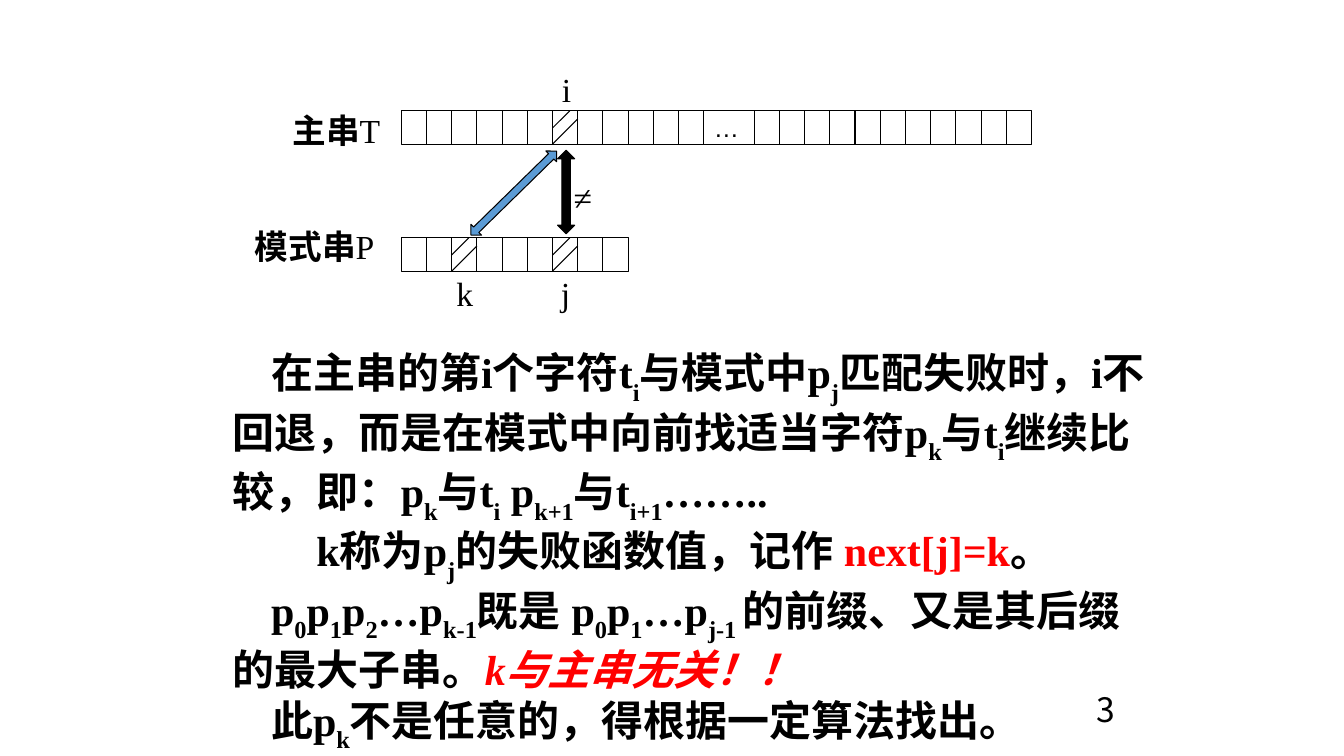
"""Build the slide on the failure function of string matching."""
from itertools import groupby

from lxml.etree import SubElement
from pptx import Presentation
from pptx.dml.color import RGBColor
from pptx.enum.shapes import MSO_CONNECTOR, MSO_SHAPE
from pptx.enum.text import MSO_ANCHOR, MSO_AUTO_SIZE, PP_ALIGN
from pptx.oxml.ns import qn
from pptx.util import Inches, Pt

COLORS = {"ink": "000000", "paper": "FFFFFF", "accent": "FF0000", "retry": "5B9BD5"}
LATIN, HAN = "Times New Roman", "Noto Sans CJK SC"
LEFT, CELL, HEIGHT = 3.98, 0.25, 0.33
MAIN_TOP, PATTERN_TOP = 1.1, 2.36

EXPLANATION = [
    (0.38, [("在主串的第i个字符t{i}与模式中p{j}匹配失败时，"
             "i不回退，而是在模式中向前找适当字符p{k}与t{i}继续比较，即："
             "p{k}与t{i} p{k+1}与t{i+1}……..", {})]),
    (0.83, [("k称为p{j}的失败函数值，记作 ", {}),
            ("next[j]=k", {"color": "accent"}),
            ("。", {})]),
    (0.38, [("p{0}p{1}p{2}…p{k-1}既是 p{0}p{1}…p{j-1 }"
             "的前缀、又是其后缀的最大子串。", {}),
            ("k与主串无关！！", {"color": "accent", "italic": True})]),
    (0.38, [("此p{k}不是任意的，得根据一定算法找出。", {})]),
]


def rgb(name):
    """Return the named colour."""
    return RGBColor.from_string(COLORS[name])


def is_han(character):
    """Tell whether a character is Chinese text or punctuation."""
    return character >= "\u3000"


def write(paragraph, text, size=24, font=None, color="ink", bold=False, italic=False):
    """Add text with braced subscripts, choosing the font by script."""
    for index, part in enumerate(text.replace("}", "{").split("{")):
        for han, characters in groupby(part, is_han):
            run = paragraph.add_run()
            run.text = "".join(characters)
            run.font.size = Pt(size)
            run.font.bold = bold
            run.font.italic = italic
            run.font.color.rgb = rgb(color)
            run.font.name = font or (HAN if han else LATIN)
            properties = run._r.get_or_add_rPr()
            SubElement(properties, qn("a:ea")).set("typeface", run.font.name)
            if index % 2:
                properties.set("baseline", "-30000")


def add_box(shapes, left, top, width, height, grow=True, inset=True):
    """Add an empty wrapping text box and return its frame."""
    box = shapes.add_textbox(Inches(left), Inches(top), Inches(width), Inches(height))
    frame = box.text_frame
    frame.word_wrap = True
    frame.auto_size = MSO_AUTO_SIZE.SHAPE_TO_FIT_TEXT if grow else MSO_AUTO_SIZE.NONE
    if not inset:
        frame.margin_left = frame.margin_right = 0
        frame.margin_top = frame.margin_bottom = 0
    return frame


def add_index(shapes, symbol, left, top, width=0.2):
    """Add a centred symbol without insets."""
    paragraph = add_box(shapes, left, top, width, 0.4, inset=False).paragraphs[0]
    paragraph.alignment = PP_ALIGN.CENTER
    write(paragraph, symbol)


def add_string_name(shapes, name, letter, left, top, width):
    """Add the bold name of a string with its letter."""
    paragraph = add_box(shapes, left, top, width, 0.5).paragraphs[0]
    paragraph.alignment = PP_ALIGN.CENTER
    write(paragraph, name, bold=True)
    write(paragraph, letter)


def add_preset(shapes, kind, left, top, width, height, fill):
    """Add a filled preset shape with a thin outline."""
    shape = shapes.add_shape(kind, Inches(left), Inches(top), Inches(width), Inches(height))
    shape.shadow.inherit = False
    shape.fill.solid()
    shape.fill.fore_color.rgb = rgb(fill)
    shape.line.color.rgb = rgb("ink")
    shape.line.width = Pt(0.75)
    return shape


def add_arrow(shapes, left, top, width, height, fill, head, rotation=0):
    """Add a double arrow with a half-width shaft and the given head length."""
    arrow = add_preset(shapes, MSO_SHAPE.UP_DOWN_ARROW, left, top, width, height, fill)
    arrow.adjustments[0] = head
    arrow.adjustments[1] = 0.5
    arrow.rotation = rotation


def add_line(shapes, x1, y1, x2, y2):
    """Add a thin straight line."""
    line = shapes.add_connector(
        MSO_CONNECTOR.STRAIGHT, Inches(x1), Inches(y1), Inches(x2), Inches(y2))
    line.line.color.rgb = rgb("ink")
    line.line.width = Pt(0.75)
    SubElement(line._element.spPr, qn("a:effectLst"))


def add_string(shapes, top, cells, hatched, undivided=()):
    """Add a row of character cells, hatching some, and return its outline."""
    outline = add_preset(
        shapes, MSO_SHAPE.RECTANGLE, LEFT, top, cells * CELL, HEIGHT, "paper")
    for position in range(1, cells):
        if position not in undivided:
            x = LEFT + position * CELL
            add_line(shapes, x, top, x, top + HEIGHT)
    for position in hatched:
        x = LEFT + position * CELL
        add_line(shapes, x + 0.17, top, x, top + 0.17)
        add_line(shapes, x + CELL, top + 0.08, x, top + HEIGHT)
    return outline


def add_ellipsis(outline):
    """Write the ellipsis of the main string slightly right of its centre."""
    frame = outline.text_frame
    frame.word_wrap = False
    frame.vertical_anchor = MSO_ANCHOR.MIDDLE
    frame.margin_left = Inches(0.3)
    frame.paragraphs[0].alignment = PP_ALIGN.CENTER
    write(frame.paragraphs[0], "…", size=18, font="Arial")


def add_explanation(shapes):
    """Add the explanatory paragraphs with first-line indents."""
    frame = add_box(shapes, 2.21, 3.39, 9.35, 3.63)
    for number, (indent, pieces) in enumerate(EXPLANATION):
        paragraph = frame.add_paragraph() if number else frame.paragraphs[0]
        paragraph._p.get_or_add_pPr().set("indent", str(Inches(indent)))
        for text, style in pieces:
            write(paragraph, text, size=30, bold=True, **style)


def add_page_number(shapes, number):
    """Add the page number at the lower right."""
    frame = add_box(shapes, 8.83, 6.78, 2.33, 0.5, grow=False)
    frame.vertical_anchor = MSO_ANCHOR.BOTTOM
    frame.paragraphs[0].alignment = PP_ALIGN.RIGHT
    write(frame.paragraphs[0], number, font="Noto Sans CJK JP")


def main():
    """Build and save the slide."""
    deck = Presentation()
    deck.slide_width, deck.slide_height = Inches(13.33), Inches(7.5)
    shapes = deck.slides.add_slide(deck.slide_layouts[6]).shapes

    add_page_number(shapes, "3")
    add_explanation(shapes)

    strings = shapes.add_group_shape().shapes
    add_ellipsis(add_string(strings, MAIN_TOP, 25, hatched=[6], undivided=[13]))
    add_string_name(strings, "主串", "T", 2.79, 1.04, 1.09)
    add_index(strings, "i", 5.52, 0.68)
    add_string(strings, PATTERN_TOP, 9, hatched=[2, 6])
    add_string_name(strings, "模式串", "P", 2.34, 2.19, 1.56)
    for symbol, left in [("j", 5.51), ("k", 4.51)]:
        add_index(strings, symbol, left, 2.71)

    mismatch = shapes.add_group_shape().shapes
    add_arrow(mismatch, 5.53, 1.49, 0.17, 0.83, "ink", head=1)
    add_index(mismatch, "≠", 5.69, 1.76, width=0.17)
    add_arrow(shapes, 5.02, 1.32, 0.15, 1.19, "retry", head=1.59, rotation=45.6)

    deck.save("out.pptx")


main()
